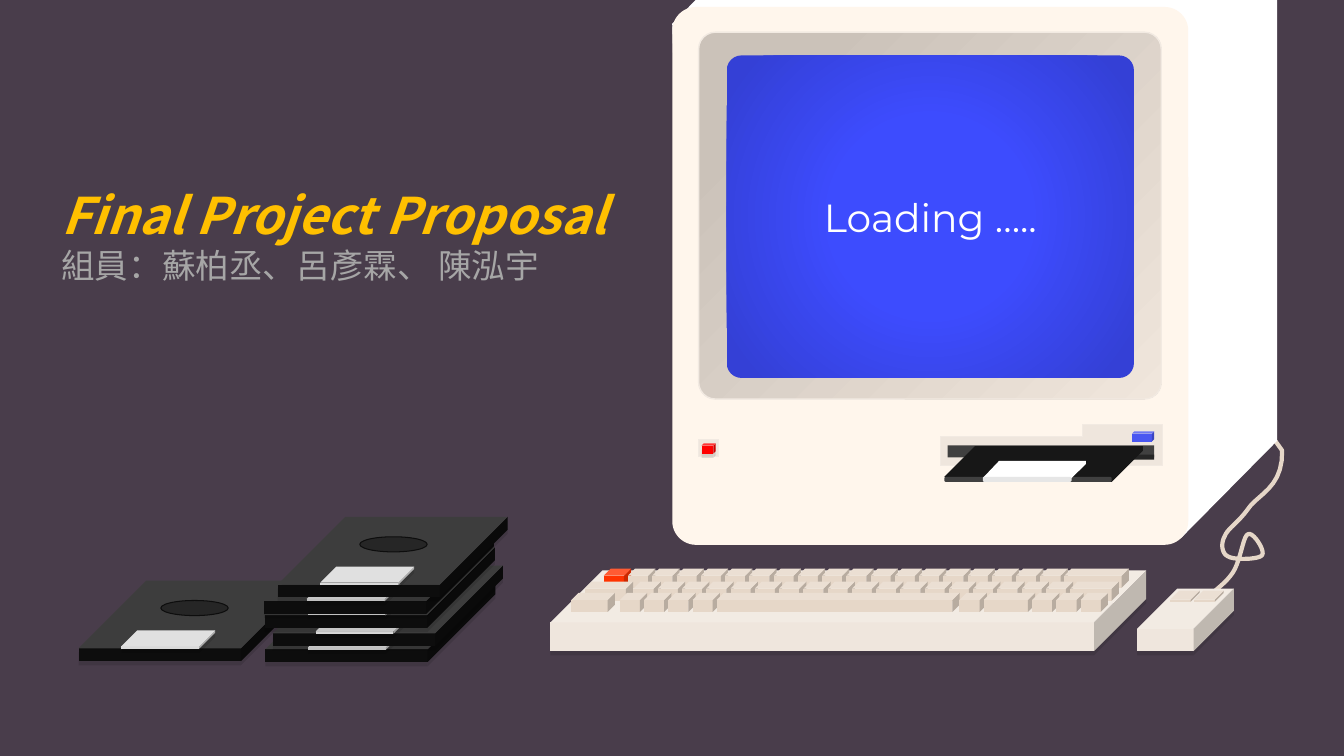
from lxml import etree
from pptx import Presentation
from pptx.dml.color import RGBColor
from pptx.enum.shapes import MSO_SHAPE
from pptx.enum.text import MSO_ANCHOR, MSO_AUTO_SIZE, PP_ALIGN
from pptx.oxml import parse_xml
from pptx.oxml.ns import qn
from pptx.util import Pt

CUBE = MSO_SHAPE.CUBE
OVAL = MSO_SHAPE.OVAL
RECTANGLE = MSO_SHAPE.RECTANGLE
ROUNDED = MSO_SHAPE.ROUNDED_RECTANGLE
MIDDLE = MSO_ANCHOR.MIDDLE
FIT_TEXT = MSO_AUTO_SIZE.SHAPE_TO_FIT_TEXT
CENTER = PP_ALIGN.CENTER

NAMESPACE = "http://schemas.openxmlformats.org/drawingml/2006/main"
CREAM, TRIM, KEY = "EFE6DD", "F2EAE2", "E6D7C8"
KEY_PITCH, KEY_WIDTH, KEY_HEIGHT = 17.33, 19.5, 13.7

KEY_ROWS = [
    (406.1, [(448.6, KEY_WIDTH, 18), (760.3, 46, 1)]),
    (415.4, [(417.6, 34.6, 1), (452.5, KEY_WIDTH, 18), (764.6, 34.6, 1)]),
    (423.4, [(408.2, 31, 1), (442.8, KEY_WIDTH, 4), (511.9, 173.5, 1),
             (685.4, KEY_WIDTH, 1), (702.7, 36.7, 1), (737.3, KEY_WIDTH, 3)]),
]

CABLE_START = (857.5, 432)
CABLE_CURVES = [
    ((868.3, 420.5), (874.8, 417.6), (880.6, 409)),
    ((886.3, 400.3), (887.8, 383), (891.4, 381.6)),
    ((895, 379.4), (904.3, 393.8), (901.4, 396.7)),
    ((899.3, 399.6), (881.3, 400.3), (877, 397.4)),
    ((872.6, 395.3), (871.9, 388.1), (874.8, 383)),
    ((877, 377.3), (884.2, 373.7), (891.4, 363.6)),
    ((897.8, 353.5), (916.6, 348.5), (915.8, 321.8)),
    ((901.4, 295.9), (886.3, 329.8), (882, 329)),
]


def color(value):
    return RGBColor.from_string(value)


def style(shape, fill, line=None, width=1):
    shape.shadow.inherit = False
    if fill:
        shape.fill.solid()
        shape.fill.fore_color.rgb = color(fill)
    else:
        shape.fill.background()
    if line:
        shape.line.color.rgb = color(line)
        shape.line.width = Pt(width)
    else:
        shape.line.fill.background()


def add_block(slide, kind, left, top, width, height, fill, adjust=None, line=None, line_width=1):
    shape = slide.shapes.add_shape(kind, Pt(left), Pt(top), Pt(width), Pt(height))
    if adjust is not None:
        shape.adjustments[0] = adjust
    style(shape, fill, line, line_width)
    return shape


def add_outline(slide, points, fill, line=None, width=1, closed=True):
    vertices = [(Pt(x), Pt(y)) for x, y in points]
    builder = slide.shapes.build_freeform(*vertices[0])
    builder.add_line_segments(vertices[1:], close=closed)
    style(builder.convert_to_shape(), fill, line, width)


def add_drop_shadow(shape):
    effects = shape._element.spPr.find(qn("a:effectLst"))
    effects.append(parse_xml(
        f'<a:outerShdw xmlns:a="{NAMESPACE}" dist="{Pt(3)}" dir="5400000" algn="t" rotWithShape="0">'
        '<a:srgbClr val="000000"><a:alpha val="11000"/></a:srgbClr></a:outerShdw>'))


def set_gradient(shape, stops, radial=False):
    shape.fill.gradient()
    shape.fill.gradient_angle = 315
    for stop, (position, value) in zip(shape.fill.gradient_stops, stops):
        stop.position = position
        stop.color.rgb = color(value)
    if radial:
        gradient = shape._element.spPr.find(qn("a:gradFill"))
        gradient.remove(gradient.find(qn("a:lin")))
        circle = etree.SubElement(gradient, qn("a:path"), path="circle")
        etree.SubElement(circle, qn("a:fillToRect"), l="50000", t="50000", r="50000", b="50000")


def format_run(paragraph, font_name, size, value, bold=False, italic=False):
    run = paragraph.runs[0]
    run.font.name = font_name
    run.font.size = Pt(size)
    run.font.color.rgb = color(value)
    run.font.bold = bold
    run.font.italic = italic
    etree.SubElement(run._r.get_or_add_rPr(), qn("a:ea"), typeface=font_name)


def curve_points(start, curves, steps=10):
    points = [start]
    for first, second, end in curves:
        for step in range(1, steps + 1):
            t = step / steps
            weights = ((1 - t) ** 3, 3 * t * (1 - t) ** 2, 3 * t * t * (1 - t), t ** 3)
            corners = (start, first, second, end)
            points.append(tuple(sum(w * corner[axis] for w, corner in zip(weights, corners))
                                for axis in (0, 1)))
        start = end
    return points


def add_floppy(slide, left, top):
    add_drop_shadow(add_block(slide, CUBE, left, top, 164.2, 57.6, "0D0D0D", 0.84))
    add_drop_shadow(add_block(slide, CUBE, left + 30.5, top + 35.6, 67, 13, "D9D9D9", 0.876))
    add_block(slide, OVAL, left + 58.7, top + 14.2, 48.2, 10.8, "262626",
              line="0D0D0D", line_width=0.75)


def add_monitor(slide):
    add_outline(slide, [(480.2, 17), (497, 0), (912.2, 0), (912.2, 315), (844, 384), (830, 388),
                        (490, 380)], "FFFFFF")
    add_block(slide, ROUNDED, 480.2, 5, 368.6, 384.2, "FFF6EC", 0.046)
    bezel = add_block(slide, ROUNDED, 499, 23, 330.5, 262.1, CREAM, 0.046, TRIM)
    set_gradient(bezel, [(0.16, "CBC2B9"), (1, "F0E6DC")])
    screen = add_block(slide, ROUNDED, 519.1, 39.6, 290.9, 230.4, "3D4CFE", 0.046)
    set_gradient(screen, [(0.38, "3D4CFE"), (0.92, "3440D6")], radial=True)
    screen.text_frame.text = "Loading ….."
    screen.text_frame.vertical_anchor = MIDDLE
    paragraph = screen.text_frame.paragraphs[0]
    paragraph.alignment = CENTER
    format_run(paragraph, "Montserrat", 28, "FFFFFF")


def add_drive(slide):
    add_outline(slide, [(773.3, 303.1), (830.2, 303.1), (830.2, 332.6), (671.8, 332.6),
                        (671.8, 311.8), (773.3, 311.8)], CREAM, TRIM)
    add_block(slide, RECTANGLE, 676.8, 318.2, 147.6, 8.6, "404040")
    add_block(slide, RECTANGLE, 786.2, 324.7, 38.2, 3.6, "262626")
    add_block(slide, CUBE, 808.6, 308.2, 15.8, 7.2, "4A57F1", 0.224)
    add_outline(slide, [(696.5, 318.6), (816.4, 318.6), (816.4, 322), (794.2, 344.2),
                        (674.6, 340.6)], "171717")
    add_block(slide, ROUNDED, 674.6, 340.6, 119.5, 3.6, "404040", 0.313)
    add_outline(slide, [(713.6, 329.3), (775.7, 329.3), (775.7, 331.5), (765.4, 341.5),
                        (702, 341.5)], "FFFFFF")
    add_block(slide, ROUNDED, 702, 340.6, 63.4, 3.6, "E6E6E6", 0.313)


def add_power_button(slide):
    add_block(slide, RECTANGLE, 499, 313.9, 14.4, 12.2, CREAM, line=TRIM)
    add_drop_shadow(add_block(slide, CUBE, 501.1, 316.8, 10.1, 7.2, "FF0000", 0.224))


def add_keyboard(slide):
    add_drop_shadow(add_block(slide, CUBE, 393.1, 407.5, 425.5, 57.6, CREAM, 0.645))
    add_block(slide, CUBE, 431.3, 406.1, KEY_WIDTH, KEY_HEIGHT, "FF3300", 0.376)
    for top, groups in KEY_ROWS:
        for left, width, count in groups:
            for index in range(count):
                add_block(slide, CUBE, left + index * KEY_PITCH, top, width, KEY_HEIGHT, KEY, 0.376)


def add_mouse(slide):
    add_drop_shadow(add_block(slide, CUBE, 812.2, 420.5, 69.1, 44.6, CREAM, 0.645))
    for left in (835.9, 853.2):
        add_block(slide, CUBE, left, 421.9, 20.9, 7.9, KEY, 0.8)


def add_title(slide):
    box = slide.shapes.add_textbox(Pt(36.7), Pt(128.2), Pt(414.7), Pt(79.9))
    frame = box.text_frame
    frame.word_wrap = True
    frame.auto_size = FIT_TEXT
    frame.text = "Final Project Proposal\n組員：蘇柏丞、呂彥霖、 陳泓宇"
    title, members = frame.paragraphs
    format_run(title, "Noto Sans CJK KR", 36, "FFC000", bold=True, italic=True)
    format_run(members, "Noto Sans CJK KR", 24, "A6A6A6")


def main():
    presentation = Presentation()
    presentation.slide_width = Pt(960)
    presentation.slide_height = Pt(540)
    slide = presentation.slides.add_slide(presentation.slide_layouts[6])
    slide.background.fill.solid()
    slide.background.fill.fore_color.rgb = color("493D4B")
    add_floppy(slide, 56.2, 414.7)
    add_outline(slide, curve_points(CABLE_START, CABLE_CURVES), None, KEY, 3, closed=False)
    add_monitor(slide)
    add_drive(slide)
    add_power_button(slide)
    add_keyboard(slide)
    add_mouse(slide)
    for left, top in [(189.6, 415.4), (195, 404), (189.2, 391), (188.6, 380.9), (198.3, 369.2)]:
        add_floppy(slide, left, top)
    add_title(slide)
    presentation.save("out.pptx")


if __name__ == "__main__":
    main()
